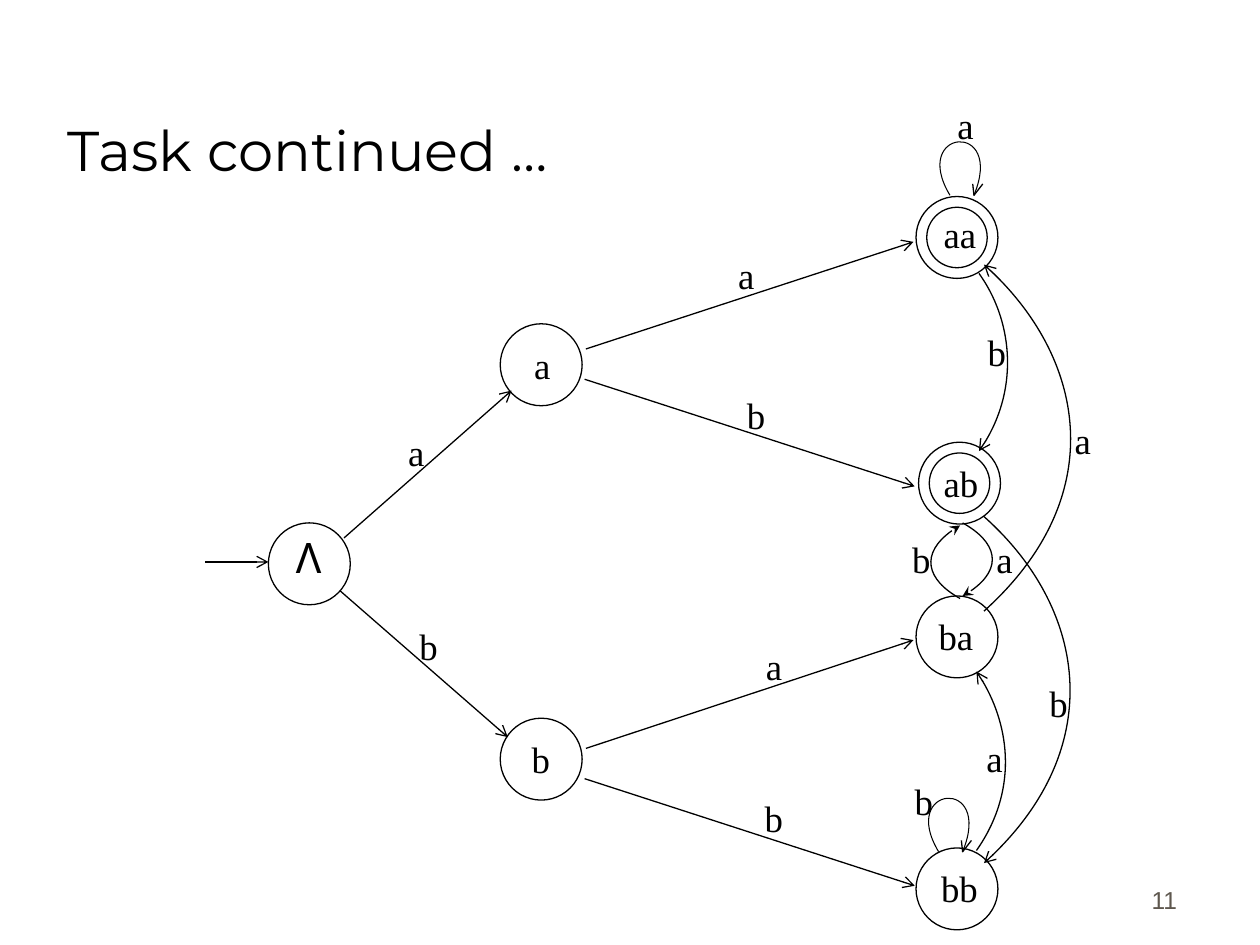
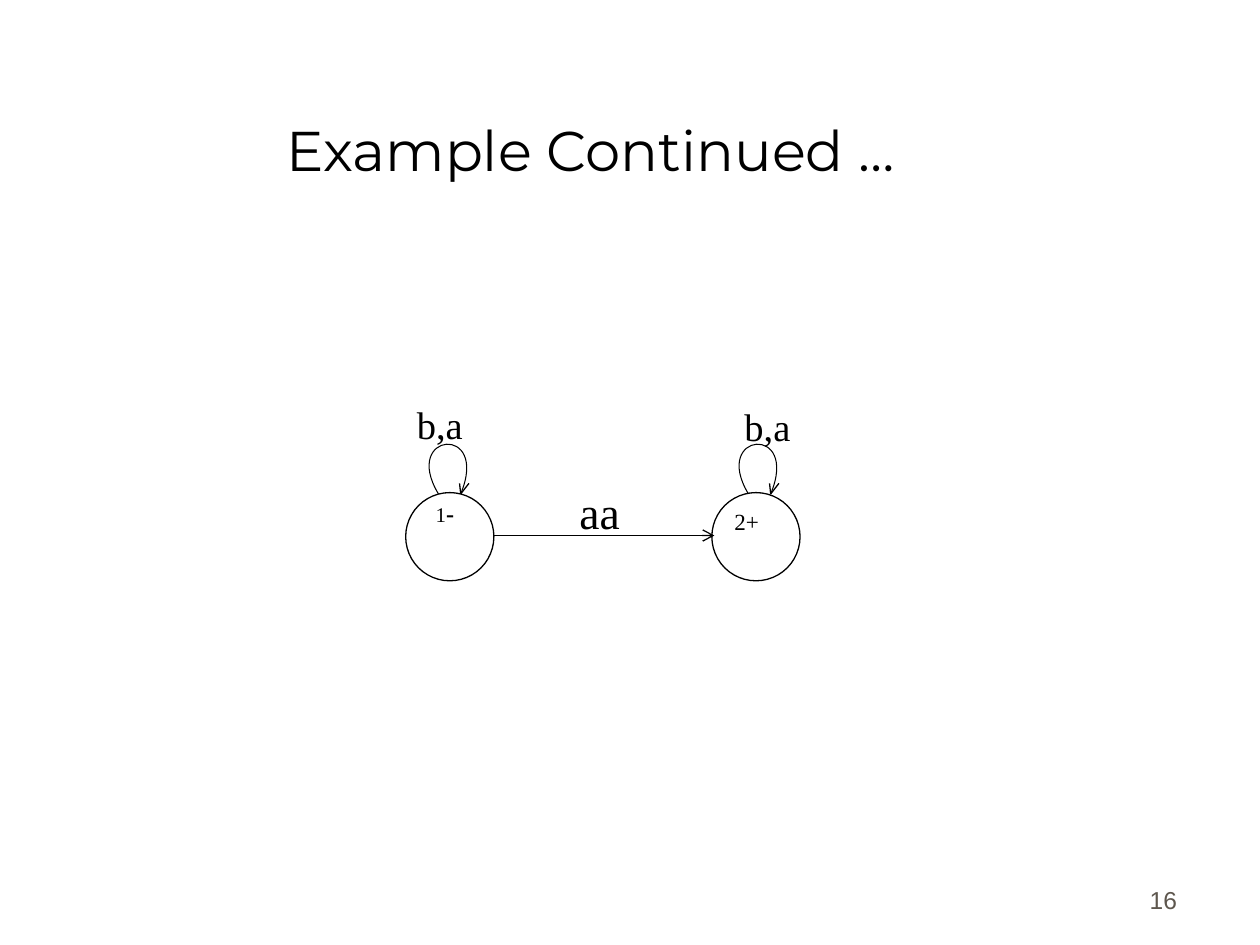
from lxml.etree import SubElement
from pptx import Presentation
from pptx.dml.color import RGBColor
from pptx.enum.shapes import MSO_CONNECTOR, MSO_SHAPE
from pptx.enum.text import MSO_ANCHOR, PP_ALIGN
from pptx.oxml.ns import qn
from pptx.util import Inches, Pt

COLORS = {"ink": "000000", "state": "FFFFFF", "number": "5E574E"}
COLUMNS, ROWS = 100, 75
SERIF = "Times New Roman"

STATES = [
    ("a", 39.7, 25.7, 41.4, 26.7, False),
    ("b", 39.7, 57, 41.2, 58, False),
    ("aa", 72.7, 15.6, 73.9, 16.3, True),
    ("ab", 72.9, 35.1, 73.9, 36.1, True),
    ("ba", 72.7, 47.3, 73.5, 48.2, False),
    ("bb", 72.7, 67.3, 73.7, 68.2, False),
]
STRAIGHT_EDGES = [
    ((16.3, 44.6), (21.3, 44.6)),
    ((27.3, 42.7), (40.6, 31)),
    ((27, 46.9), (40.3, 58.5)),
    ((46.5, 27.7), (72.5, 19.2)),
    ((46.4, 30.1), (72.6, 38.6)),
    ((46.5, 59.4), (72.5, 50.8)),
    ((46.4, 61.8), (72.6, 70.3)),
]
CURVED_EDGES = [
    ([(77.7, 21.7), (80.3, 25.3), (81, 31.2), (77.7, 35.8)], "arrow"),
    ([(77.5, 67.5), (80.8, 62.8), (80.1, 57), (77.5, 53.3)], "arrow"),
    ([(78.1, 41), (86.1, 48.1), (88.1, 59.5), (78.1, 68.5)], "arrow"),
    ([(78.1, 48.5), (88.1, 39.5), (86.1, 28.1), (78.1, 21)], "arrow"),
    ([(76.4, 41.5), (79.1, 43), (79.8, 45.4), (76.4, 47.3)], "stealth"),
    ([(76.2, 47.5), (73.5, 46), (72.9, 43.6), (76.2, 41.7)], "stealth"),
]
EDGE_LABELS = {
    "a": [(75, 7.7), (84.3, 32.7), (59.8, 50.6), (77.3, 57.9),
          (31.4, 33.6), (57.6, 19.6), (78.1, 42.1)],
    "b": [(59.7, 62.7), (77.4, 25.7), (58.3, 30.7), (32.3, 49),
          (71.6, 61.3), (82.3, 53.5), (71.4, 42.1)],
}


def cells(*counts):
    """Convert counts of grid cells to lengths."""
    return [Inches(count * 10 / COLUMNS) for count in counts]


def style_run(run, size, font, color="ink"):
    """Set the font of one run."""
    run.font.size = Pt(size)
    run.font.name = font
    run.font.color.rgb = RGBColor.from_string(COLORS[color])


def add_label(slide, text, column, row, size=21, font=SERIF, color="ink",
              extent=(9.8, 6.8), anchor=MSO_ANCHOR.TOP, align=PP_ALIGN.LEFT):
    """Write one line of text and return its paragraph."""
    frame = slide.shapes.add_textbox(*cells(column, row, *extent)).text_frame
    frame.word_wrap = True
    frame.vertical_anchor = anchor
    paragraph = frame.paragraphs[0]
    paragraph.text = text
    paragraph.alignment = align
    style_run(paragraph.runs[0], size, font, color)
    return paragraph


def ink_line(item, width=0.75, head=None):
    """Draw the item's line in ink, with an optional arrowhead."""
    item.line.width = Pt(width)
    item.line.color.rgb = RGBColor.from_string(COLORS["ink"])
    if head:
        ln = item._element.spPr.find(qn("a:ln"))
        SubElement(ln, qn("a:tailEnd"), type=head)


def add_circle(slide, column, row, diameter):
    """Draw a white circle with an ink outline."""
    circle = slide.shapes.add_shape(
        MSO_SHAPE.OVAL, *cells(column, row, diameter, diameter))
    circle.shadow.inherit = False
    circle.fill.solid()
    circle.fill.fore_color.rgb = RGBColor.from_string(COLORS["state"])
    ink_line(circle)


def add_state(slide, column, row, diameter=6.5, accepting=False):
    """Draw a state, with a second ring when it accepts."""
    add_circle(slide, column, row, diameter)
    if accepting:
        inner = 4.8
        inset = (diameter - inner) / 2
        add_circle(slide, column + inset, row + inset, inner)


def add_arrow(slide, start, end):
    """Draw a straight transition."""
    arrow = slide.shapes.add_connector(
        MSO_CONNECTOR.STRAIGHT, *cells(*start, *end))
    ink_line(arrow, head="arrow")
    SubElement(arrow._element.spPr, qn("a:effectLst"))


def add_open_path(slide, points, width=0.75):
    """Draw an unfilled open outline through the points."""
    start, *others = [cells(*point) for point in points]
    builder = slide.shapes.build_freeform(*start)
    builder.add_line_segments(others, close=False)
    outline = builder.convert_to_shape()
    outline.shadow.inherit = False
    outline.fill.background()
    ink_line(outline, width)
    return outline


def add_curve(slide, points, head=None, width=0.75):
    """Draw a cubic curve from a start, two controls and an end."""
    curve = add_open_path(slide, points, width)
    path = curve._element.spPr.find(".//" + qn("a:path"))
    bezier = SubElement(path, qn("a:cubicBezTo"))
    for segment in path.findall(qn("a:lnTo")):
        bezier.append(segment[0])
        path.remove(segment)
    ink_line(curve, width, head)


def add_loop(slide, column, row, scale=1.0):
    """Draw a transition from a state to itself."""
    def place(offsets):
        return [(column + scale * x, row + scale * y) for x, y in offsets]

    add_curve(slide, place([(0, 0), (-3.2, -5.3), (4.4, -6), (1.9, 0)]),
              width=0.6)
    add_open_path(slide, place([(1.8, -0.9), (1.9, 0), (2.6, -0.9)]))


def add_page(deck, title, number, align=PP_ALIGN.LEFT):
    """Add a slide with its title and number."""
    slide = deck.slides.add_slide(deck.slide_layouts[6])
    add_label(slide, number, 73.6, 68.1, 14, "Arial", "number",
              (20.8, 5), MSO_ANCHOR.BOTTOM, PP_ALIGN.RIGHT)
    add_label(slide, title, 4.4, 2.5, 32, "Montserrat",
              extent=(85, 12.5), anchor=MSO_ANCHOR.BOTTOM, align=align)
    return slide


def build_task(deck):
    """Draw the automaton that remembers the last two letters."""
    slide = add_page(deck, "Task continued …", "11")
    add_state(slide, 21.3, 41.5)
    for _, column, row, _, _, accepting in STATES:
        add_state(slide, column, row, accepting=accepting)
    for start, end in STRAIGHT_EDGES:
        add_arrow(slide, start, end)
    for points, head in CURVED_EDGES:
        add_curve(slide, points, head)
    add_loop(slide, 75.4, 15.5)
    add_loop(slide, 74.5, 67.6)
    add_label(slide, "Λ", 22.5, 41.7, 24, "Cabin")
    for name, _, _, column, row, _ in STATES:
        add_label(slide, name, column, row)
    for letter, places in EDGE_LABELS.items():
        for column, row in places:
            add_label(slide, letter, column, row)


def build_example(deck):
    """Draw the two-state transition graph."""
    slide = add_page(deck, "Example Continued …", "16", PP_ALIGN.CENTER)
    for state_column, loop_column in ((32.2, 34.8), (56.5, 59.4)):
        add_loop(slide, loop_column, 39.2, 0.93)
        add_state(slide, state_column, 39.1, 7)
    add_arrow(slide, (39.2, 42.5), (56.7, 42.5))
    add_label(slide, "b,a", 32.1, 31.3, 22)
    add_label(slide, "b,a", 58.1, 31.5, 22)
    add_label(slide, "aa", 45, 37.9, 26)
    start_name = add_label(slide, "1", 33.6, 39.5, 11.9, extent=(8.7, 3.6))
    start_name.line_spacing = 0.8
    minus = start_name.add_run()
    minus.text = "-"
    style_run(minus, 13.8, SERIF)
    minus.font.bold = True
    final_name = add_label(slide, "2+", 57.3, 40.2, 13.2, extent=(7.7, 3.4))
    final_name.line_spacing = 0.8


def main():
    """Build and save the two slides."""
    deck = Presentation()
    deck.slide_width, deck.slide_height = cells(COLUMNS, ROWS)
    build_task(deck)
    build_example(deck)
    deck.save("out.pptx")


if __name__ == "__main__":
    main()
